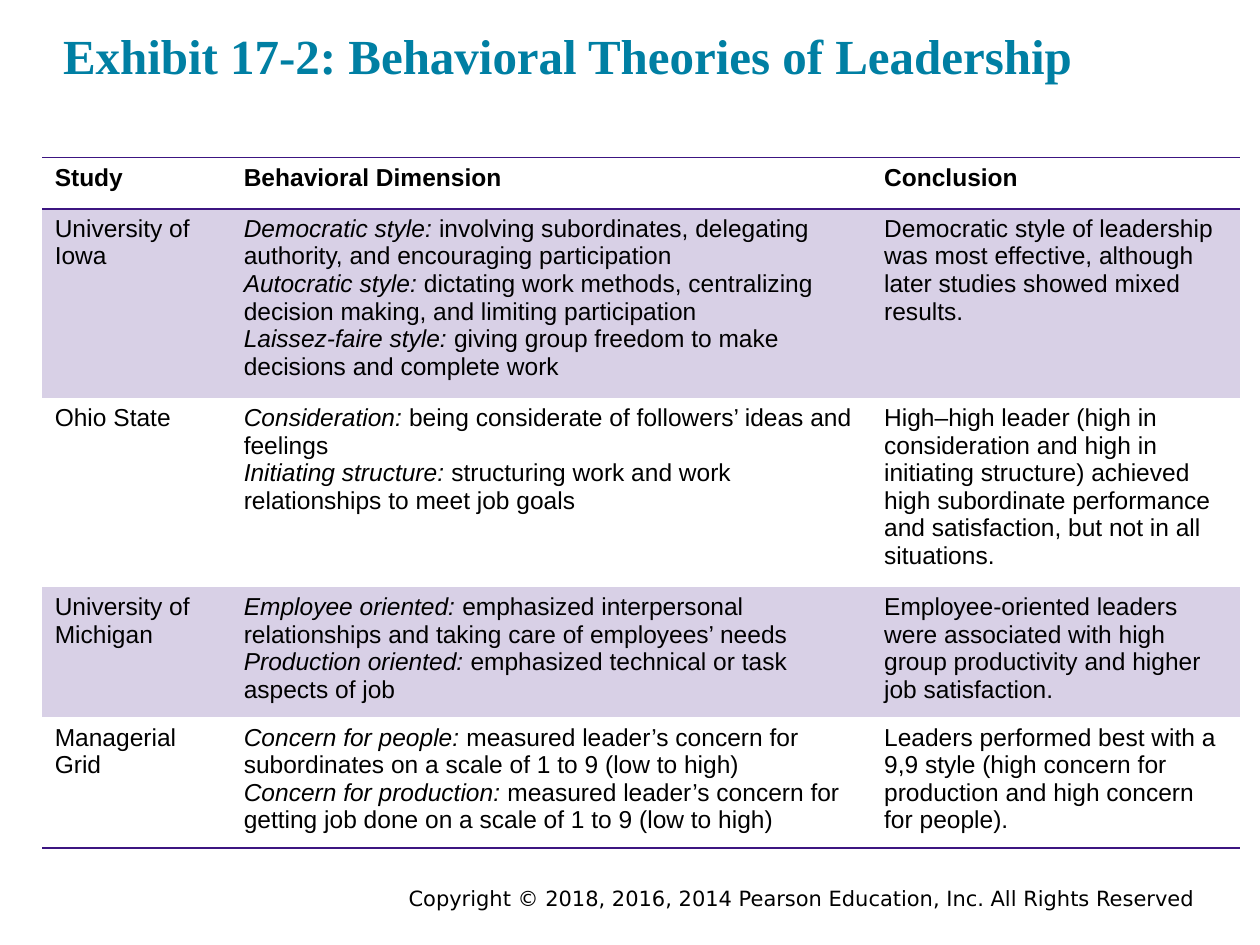
"""Build the slide on behavioral theories of leadership."""
from lxml.etree import SubElement
from pptx import Presentation
from pptx.dml.color import RGBColor
from pptx.enum.text import MSO_ANCHOR, MSO_AUTO_SIZE, PP_ALIGN
from pptx.oxml.ns import qn
from pptx.util import Cm, Pt

LEFT, RIGHT = PP_ALIGN.LEFT, PP_ALIGN.RIGHT
BOTTOM, FIXED = MSO_ANCHOR.BOTTOM, MSO_AUTO_SIZE.NONE
BLACK, TEAL, PURPLE, TINT = "000000", "007FA3", "3C1581", "D8D0E6"
PLAIN = "{2D5ABB26-0587-4C30-8999-92F81FD0307C}"

TITLE = "Exhibit 17-2: Behavioral Theories of Leadership"
NOTICE = "Copyright © 2018, 2016, 2014 Pearson Education, Inc. All Rights Reserved"
HEADS = ("Study", "Behavioral Dimension", "Conclusion")
STUDIES = [
    ("University of Iowa",
     [("Democratic style: ", "involving subordinates, delegating authority, "
       "and encouraging participation"),
      ("Autocratic style: ", "dictating work methods, centralizing decision "
       "making, and limiting participation"),
      ("Laissez-faire style: ", "giving group freedom to make decisions and "
       "complete work")],
     "Democratic style of leadership was most effective, although later "
     "studies showed mixed results."),
    ("Ohio State",
     [("Consideration: ", "being considerate of followers’ ideas and feelings"),
      ("Initiating structure: ", "structuring work and work relationships to "
       "meet job goals")],
     "High–high leader (high in consideration and high in initiating "
     "structure) achieved high subordinate performance and satisfaction, "
     "but not in all situations."),
    ("University of Michigan",
     [("Employee oriented: ", "emphasized interpersonal relationships and "
       "taking care of employees’ needs"),
      ("Production oriented: ", "emphasized technical or task aspects of job")],
     "Employee-oriented leaders were associated with high group productivity "
     "and higher job satisfaction."),
    ("Managerial Grid",
     [("Concern for people: ", "measured leader’s concern for subordinates on "
       "a scale of 1 to 9 (low to high)"),
      ("Concern for production: ", "measured leader’s concern for getting job "
       "done on a scale of 1 to 9 (low to high)")],
     "Leaders performed best with a 9,9 style (high concern for production "
     "and high concern for people)."),
]
WIDTHS = (3.81, 12.91, 7.42)
HEIGHTS = (1.03, 3.59, 3.59, 2.48, 2.48)


def paint(color, code):
    color.rgb = RGBColor.from_string(code)


def style(run, size, face, code=BLACK, bold=False, slant=False):
    font = run.font
    font.size, font.name = Pt(size), face
    font.bold, font.italic = bold, slant
    paint(font.color, code)


def rule(cell, side):
    line = SubElement(cell._tc.get_or_add_tcPr(), qn(f"a:{side}"), w=str(Pt(1)))
    fill = SubElement(line, qn("a:solidFill"))
    SubElement(fill, qn("a:srgbClr"), val=PURPLE)


def write(cell, content, bold):
    items = [("", content)] if isinstance(content, str) else content
    frame = cell.text_frame
    for i, (term, text) in enumerate(items):
        para = frame.add_paragraph() if i else frame.paragraphs[0]
        for part, slant in ((term, True), (text, False)):
            if part:
                run = para.add_run()
                run.text = part
                style(run, 14, "Arial", bold=bold, slant=slant)


def add_title(slide):
    title = slide.shapes.title
    title.left, title.top = Cm(1.27), Cm(0.61)
    title.width, title.height = Cm(22.86), Cm(1.09)
    frame = title.text_frame
    frame.text = TITLE
    frame.auto_size, frame.vertical_anchor = FIXED, BOTTOM
    frame.margin_left = frame.margin_right = 0
    frame.margin_top = frame.margin_bottom = 0
    para = frame.paragraphs[0]
    para.alignment = LEFT
    style(para.runs[0], 28, "Times New Roman", TEAL, bold=True)


def add_grid(slide):
    rows = [HEADS, *STUDIES]
    last = len(rows) - 1
    table = slide.shapes.add_table(
        len(rows), len(HEADS), Cm(0.85), Cm(3.18),
        Cm(sum(WIDTHS)), Cm(sum(HEIGHTS))).table
    table._tbl.tblPr.find(qn("a:tableStyleId")).text = PLAIN
    table.horz_banding = False
    for col, width in zip(table.columns, WIDTHS):
        col.width = Cm(width)
    for line, height in zip(table.rows, HEIGHTS):
        line.height = Cm(height)
    for r, row in enumerate(rows):
        for c, content in enumerate(row):
            cell = table.cell(r, c)
            write(cell, content, bold=r == 0)
            if r == 0:
                rule(cell, "lnT")
            if r in (0, last):
                rule(cell, "lnB")
            if r % 2:
                cell.fill.solid()
                paint(cell.fill.fore_color, TINT)
            else:
                cell.fill.background()


def add_notice(slide):
    box = slide.shapes.add_textbox(Cm(4.45), Cm(17.73), Cm(19.89), Cm(0.76))
    frame = box.text_frame
    frame.word_wrap = True
    frame.text = NOTICE
    para = frame.paragraphs[0]
    para.alignment = RIGHT
    style(para.runs[0], 12, "DejaVu Sans")


def main():
    deck = Presentation()
    deck.slide_width, deck.slide_height = Cm(25.4), Cm(19.05)
    slide = deck.slides.add_slide(deck.slide_layouts[5])
    add_notice(slide)
    add_title(slide)
    add_grid(slide)
    deck.save("out.pptx")


if __name__ == "__main__":
    main()
